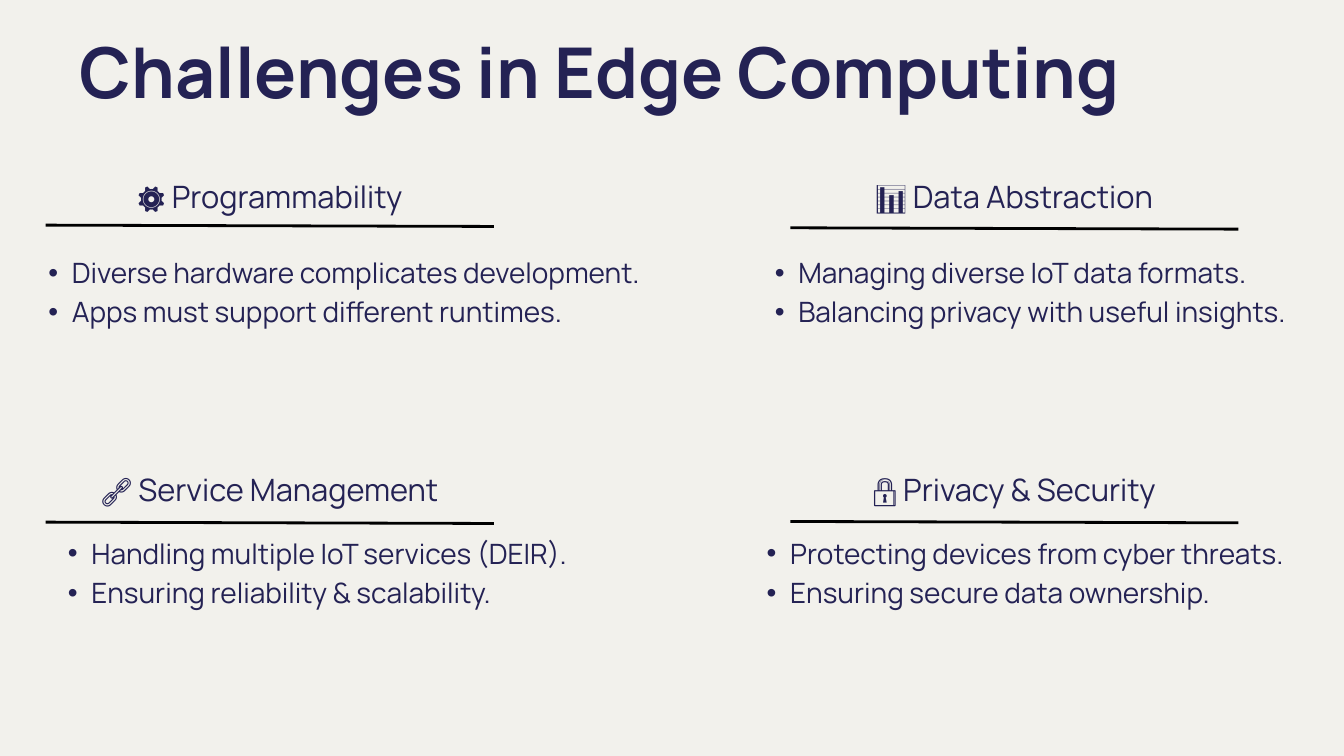
from dataclasses import dataclass

from lxml import etree
from pptx import Presentation
from pptx.dml.color import RGBColor
from pptx.enum.shapes import MSO_CONNECTOR
from pptx.enum.text import MSO_AUTO_SIZE, PP_ALIGN
from pptx.oxml.ns import qn
from pptx.slide import Slide
from pptx.util import Inches, Pt

CENTER, LEFT = PP_ALIGN.CENTER, PP_ALIGN.LEFT
STRAIGHT = MSO_CONNECTOR.STRAIGHT
GROW = MSO_AUTO_SIZE.SHAPE_TO_FIT_TEXT

NAVY = RGBColor(0x24, 0x22, 0x54)
BLACK = RGBColor(0x00, 0x00, 0x00)
CREAM = RGBColor(0xF2, 0xF1, 0xEC)
FONT = "Manrope"

LEFT_COLUMN, RIGHT_COLUMN = 0.68, 11.76
TOP_ROW, BOTTOM_ROW = 2.55, 6.92
HEADING_WIDTH, HEADING_HEIGHT = 6.67, 0.65
RULE_DROP = 0.02

Box = tuple[float, float, float, float]


@dataclass(frozen=True)
class Challenge:
    heading: str
    left: float
    top: float
    rule_top: float
    points_box: Box
    points: tuple[str, ...]


CHALLENGES = (
    Challenge("⚙️ Programmability", LEFT_COLUMN, TOP_ROW, 3.35, (0.36, 3.72, 10.06, 1.72),
              ("Diverse hardware complicates development.",
               "Apps must support different runtimes.")),
    Challenge("📊 Data Abstraction", RIGHT_COLUMN, TOP_ROW, 3.39, (11.17, 3.72, 8.4, 2.29),
              ("Managing diverse IoT data formats.",
               "Balancing privacy with useful insights.")),
    Challenge("🔗 Service Management", LEFT_COLUMN, BOTTOM_ROW, 7.77, (0.65, 7.9, 8.67, 1.72),
              ("Handling multiple IoT services (DEIR).",
               "Ensuring reliability & scalability.")),
    Challenge("🔒 Privacy & Security", RIGHT_COLUMN, BOTTOM_ROW, 7.76, (11.05, 7.9, 8.64, 1.72),
              ("Protecting devices from cyber threats.",
               "Ensuring secure data ownership.")),
)


def add_text(slide: Slide, box: Box, lines: tuple[str, ...], *, size: float, spacing: float,
             align: PP_ALIGN = CENTER, bold: bool = False, bullets: bool = False) -> None:
    """Add a text box with one paragraph per line."""
    frame = slide.shapes.add_textbox(*map(Inches, box)).text_frame
    frame.word_wrap = True
    frame.auto_size = GROW
    frame.margin_left = frame.margin_top = frame.margin_right = frame.margin_bottom = 0
    for index, line in enumerate(lines):
        paragraph = frame.add_paragraph() if index else frame.paragraphs[0]
        paragraph.alignment = align
        paragraph.line_spacing = Pt(spacing)
        run = paragraph.add_run()
        run.text = line
        run.font.name = FONT
        run.font.size = Pt(size)
        run.font.bold = bold
        run.font.color.rgb = NAVY
        if bullets:
            paragraph.level = 1
            properties = paragraph._p.get_or_add_pPr()
            properties.set("marL", str(Inches(0.71)))
            properties.set("indent", str(Inches(-0.35)))
            etree.SubElement(properties, qn("a:buFont"), typeface="Arial")
            etree.SubElement(properties, qn("a:buChar"), char="•")


def add_rule(slide: Slide, left: float, top: float) -> None:
    """Draw the slightly sloping rule below a heading."""
    rule = slide.shapes.add_connector(STRAIGHT, Inches(left), Inches(top),
                                      Inches(left + HEADING_WIDTH), Inches(top + RULE_DROP))
    rule.line.color.rgb = BLACK
    rule.line.width = Pt(3)
    etree.SubElement(rule._element.spPr, qn("a:effectLst"))


def add_challenge(slide: Slide, challenge: Challenge) -> None:
    """Draw a heading, its rule and its bullet points."""
    heading_box = (challenge.left, challenge.top, HEADING_WIDTH, HEADING_HEIGHT)
    add_text(slide, heading_box, (challenge.heading,), size=33, spacing=46.2)
    add_rule(slide, challenge.left, challenge.rule_top)
    add_text(slide, challenge.points_box, challenge.points,
             size=30, spacing=42, align=LEFT, bullets=True)


def main() -> None:
    """Build the slide and save it."""
    presentation = Presentation()
    presentation.slide_width = Inches(20)
    presentation.slide_height = Inches(11.25)
    slide = presentation.slides.add_slide(presentation.slide_layouts[6])
    background = slide.background.fill
    background.solid()
    background.fore_color.rgb = CREAM
    add_text(slide, (0.68, 0.42, 16.49, 1.33), ("Challenges in Edge Computing",),
             size=75, spacing=90, bold=True)
    for challenge in CHALLENGES:
        add_challenge(slide, challenge)
    presentation.save("out.pptx")


if __name__ == "__main__":
    main()
